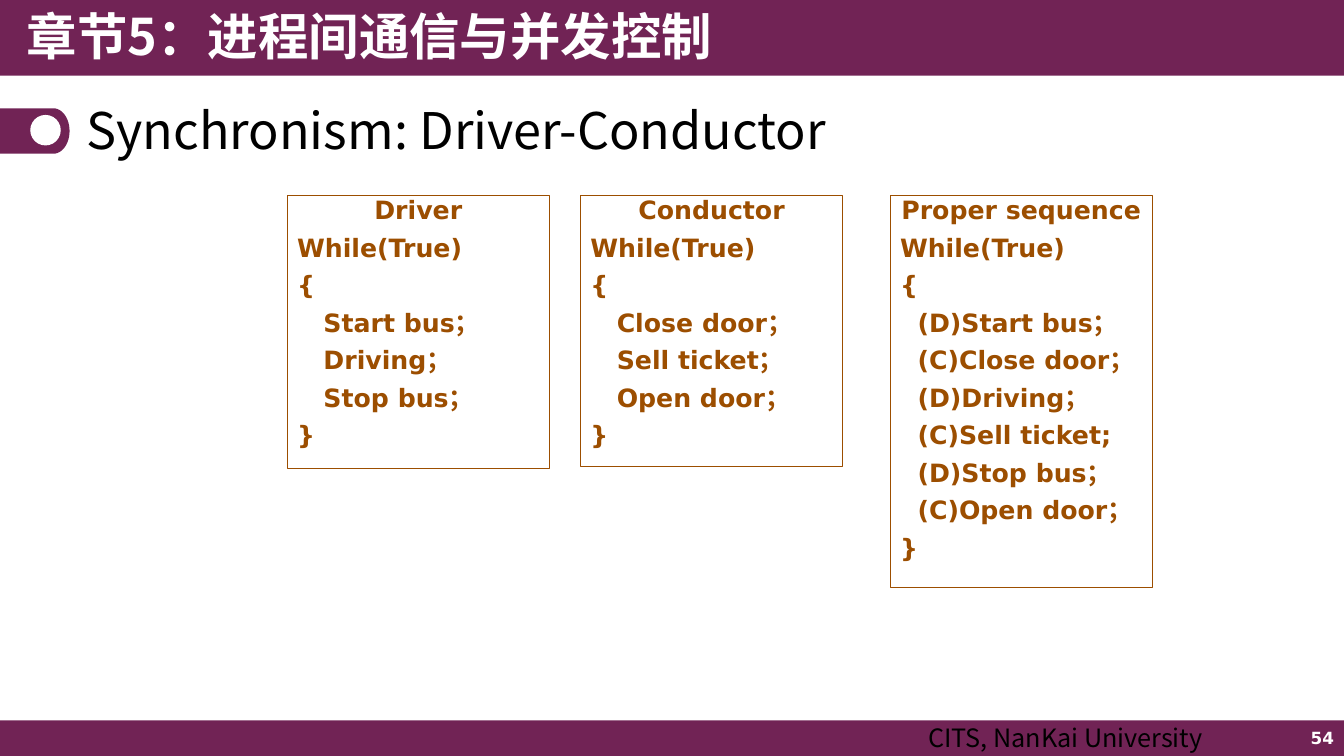
from dataclasses import dataclass
from math import cos, pi, sin

from lxml.etree import SubElement
from pptx import Presentation
from pptx.dml.color import RGBColor
from pptx.enum.shapes import MSO_SHAPE
from pptx.enum.text import MSO_ANCHOR, PP_ALIGN
from pptx.oxml.ns import qn
from pptx.util import Pt


@dataclass(frozen=True)
class Theme:
    plum: RGBColor = RGBColor(0x71, 0x23, 0x55)
    brown: RGBColor = RGBColor(0x9C, 0x4E, 0x00)
    white: RGBColor = RGBColor(0xFF, 0xFF, 0xFF)
    black: RGBColor = RGBColor(0, 0, 0)
    heading: int = 36
    body: int = 18
    number: int = 12
    cjk: str = "Noto Sans CJK SC"
    sans: str = "DejaVu Sans"


THEME = Theme()
WIDTH, HEIGHT = 960, 540
PANEL_TOP, PANEL_WIDTH = 139.7, 187.2

# Left edge, height, heading and body of each panel
PANELS = [
    (205.2, 195.1, "Driver",
     ["   Start bus；", "   Driving；", "   Stop bus；"]),
    (414.7, 193.7, "Conductor",
     ["   Close door；", "   Sell ticket；", "   Open door；"]),
    (635.8, 280.1, "Proper sequence",
     ["  (D)Start bus；", "  (C)Close door；", "  (D)Driving；",
      "  (C)Sell ticket;", "  (D)Stop bus；", "  (C)Open door；"]),
]


def style_runs(p, size, color, font, bold=False):
    for r in p.runs:
        r.font.size = Pt(size)
        r.font.bold = bold
        r.font.color.rgb = color
        r.font.name = font
        SubElement(r.font._element, qn("a:ea")).set("typeface", THEME.cjk)


def paint(sp, fill=None, line=None):
    """Set fill and outline, either of which may be absent."""
    sp.shadow.inherit = False
    if fill is None:
        sp.fill.background()
    else:
        sp.fill.solid()
        sp.fill.fore_color.rgb = fill
    if line is None:
        sp.line.fill.background()
    else:
        sp.line.color.rgb = line
        sp.line.width = Pt(0.75)


def add_block(s, kind, left, top, width, height, fill=None, line=None):
    sp = s.shapes.add_shape(kind, Pt(left), Pt(top), Pt(width), Pt(height))
    paint(sp, fill, line)
    return sp


def add_label(s, text, left, top, width, height, size, color, font=THEME.cjk,
              bold=False, align=PP_ALIGN.LEFT, anchor=MSO_ANCHOR.TOP,
              spacing=1.0):
    box = s.shapes.add_textbox(Pt(left), Pt(top), Pt(width), Pt(height))
    tf = box.text_frame
    tf.word_wrap = True
    tf.vertical_anchor = anchor
    p = tf.paragraphs[0]
    p.text = text
    p.alignment = align
    p.line_spacing = spacing
    style_runs(p, size, color, font, bold)


def add_title_marker(s):
    """Draw the tab with a rounded right end and a white dot."""
    middle, left, rx, ry = 93.6, 38.2, 11.5, 16.2
    angles = [-pi / 2 + pi * i / 24 for i in range(25)]
    curve = [(left + rx * cos(a), middle + ry * sin(a)) for a in angles]
    builder = s.shapes.build_freeform(0, Pt(middle - ry))
    outline = [*curve, (0, middle + ry)]
    builder.add_line_segments([(Pt(x), Pt(y)) for x, y in outline])
    paint(builder.convert_to_shape(), THEME.plum)
    add_block(s, MSO_SHAPE.OVAL, 21.6, 82.1, 21.8, 21.8, THEME.white)


def add_code_panel(s, left, height, heading, body):
    sp = add_block(s, MSO_SHAPE.RECTANGLE, left, PANEL_TOP, PANEL_WIDTH,
                   height, line=THEME.brown)
    tf = sp.text_frame
    tf.word_wrap = True
    tf.vertical_anchor = MSO_ANCHOR.TOP
    for i, text in enumerate([heading, "While(True)", "{", *body, "}"]):
        p = tf.add_paragraph() if i else tf.paragraphs[0]
        p.text = text
        p.alignment = PP_ALIGN.LEFT if i else PP_ALIGN.CENTER
        p.line_spacing = 0.8
        p.space_before = Pt(9.5 if i else 0)
        style_runs(p, THEME.body, THEME.brown, THEME.sans, bold=True)


def main():
    prs = Presentation()
    prs.slide_width, prs.slide_height = Pt(WIDTH), Pt(HEIGHT)
    s = prs.slides.add_slide(prs.slide_layouts[6])

    for top, height in [(514.6, 25.4), (0, 54)]:
        add_block(s, MSO_SHAPE.RECTANGLE, 0, top, WIDTH, height, THEME.plum)
    add_title_marker(s)
    add_label(s, "章节5：进程间通信与并发控制", 12.2, 0, 535.7, 55.4,
              THEME.heading, THEME.white, bold=True)
    add_label(s, "54", 744, 514.1, 216, 25.9, THEME.number, THEME.white,
              THEME.sans, True, PP_ALIGN.RIGHT, MSO_ANCHOR.MIDDLE)
    add_label(s, "Synchronism: Driver-Conductor", 54.7, 68.4, 850.3, 53.3,
              THEME.heading, THEME.black, anchor=MSO_ANCHOR.MIDDLE,
              spacing=0.9)
    add_label(s, "CITS, NanKai University", 655.9, 512.6, 303.8, 23.8,
              THEME.body, THEME.black)
    for panel in PANELS:
        add_code_panel(s, *panel)

    prs.save("out.pptx")


if __name__ == "__main__":
    main()
